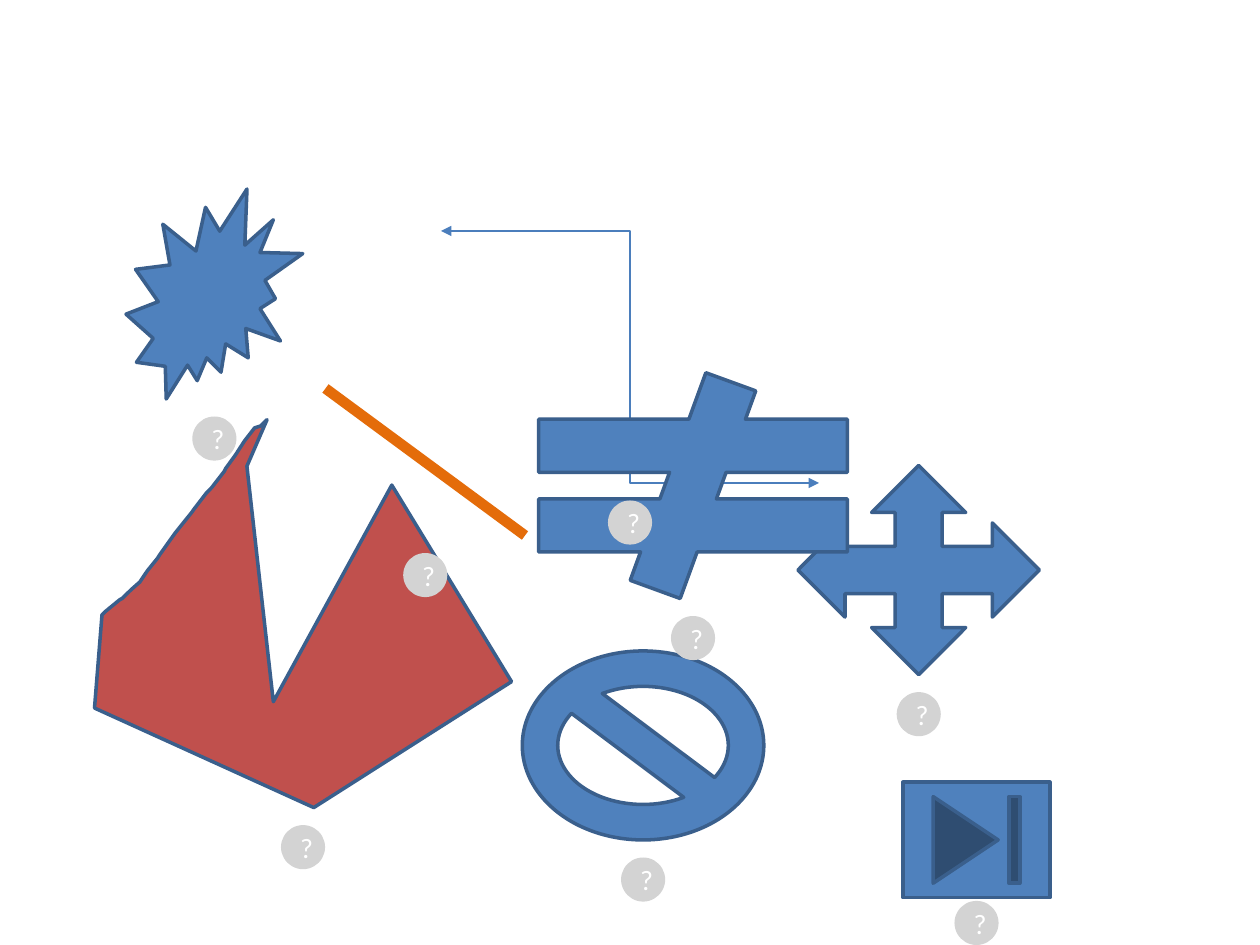
"""Build a slide of assorted shapes, each with a question badge below it."""
from dataclasses import dataclass

from lxml import etree
from pptx import Presentation
from pptx import util as u
from pptx.dml.color import RGBColor
from pptx.enum import shapes, text
from pptx.oxml import ns

COLORS = {
    "blue": "4F81BD", "outline": "3A5F8C", "red": "C0504D", "orange": "E46C0A",
    "arrow": "4B7EBC", "badge": "D3D3D3", "white": "FFFFFF",
}
SLIDE_WIDTH, SLIDE_HEIGHT = 720, 540
BADGE_SIZE = 25.2
BADGE_GAP = 10


@dataclass
class Line:
    kind: shapes.MSO_CONNECTOR
    start: tuple[float, float]
    end: tuple[float, float]
    color: str
    width: float
    arrows: bool = False


@dataclass
class Preset:
    kind: shapes.MSO_SHAPE
    left: float
    top: float
    width: float
    height: float


LINES = [
    Line(shapes.MSO_CONNECTOR.STRAIGHT, (186, 222), (300, 306), "orange", 6),
    Line(shapes.MSO_CONNECTOR.ELBOW, (252, 132), (468, 276), "arrow", 0.75, True),
]
PRESETS = [
    Preset(shapes.MSO_SHAPE.NO_SYMBOL, 298.5, 372, 138, 108),
    Preset(shapes.MSO_SHAPE.QUAD_ARROW, 456, 266, 138, 119.5),
    Preset(shapes.MSO_SHAPE.MATH_NOT_EQUAL, 276, 213, 240, 129),
    Preset(shapes.MSO_SHAPE.EXPLOSION2, 72, 108, 101, 120),
    Preset(shapes.MSO_SHAPE.ACTION_BUTTON_END, 516, 447, 84, 66),
]
JAGGED_OUTLINE = [
    (152.6, 239.8), (149, 243.4), (145.5, 244.5), (139.7, 252), (134.6, 259.9),
    (128.9, 267.8), (128.2, 269.3), (121, 278.6), (118.1, 281.5), (110.9, 290.9),
    (109.4, 293), (100.1, 304.6), (91.4, 316.8), (90, 319), (84.2, 326.2),
    (79.9, 332.6), (74.9, 337), (69.8, 342), (68.4, 342.7), (60.5, 349.2),
    (58.3, 351.4), (54, 404.6), (179.3, 461.5), (292.3, 389.5), (223.9, 277.2),
    (156.2, 401), (141.1, 266.4),
]


def rgb(name: str) -> RGBColor:
    return RGBColor.from_string(COLORS[name])


def paint(shape, fill: str, outline: str | None = "outline") -> None:
    shape.shadow.inherit = False
    shape.fill.solid()
    shape.fill.fore_color.rgb = rgb(fill)
    if outline is None:
        shape.line.fill.background()
    else:
        shape.line.color.rgb = rgb(outline)
        shape.line.width = u.Pt(2)


def draw_line(slide, line: Line):
    ends = [u.Pt(value) for value in (*line.start, *line.end)]
    connector = slide.shapes.add_connector(line.kind, *ends)
    connector.line.color.rgb = rgb(line.color)
    connector.line.width = u.Pt(line.width)
    if line.arrows:
        outline = connector.line._get_or_add_ln()
        for tag in ("a:headEnd", "a:tailEnd"):
            etree.SubElement(outline, ns.qn(tag), type="triangle")
    etree.SubElement(connector._element.spPr, ns.qn("a:effectLst"))
    return connector


def draw_jagged(slide):
    points = [(u.Pt(x), u.Pt(y)) for x, y in JAGGED_OUTLINE]
    builder = slide.shapes.build_freeform(*points[0])
    builder.add_line_segments(points[1:], close=True)
    shape = builder.convert_to_shape()
    paint(shape, "red")
    return shape


def draw_preset(slide, preset: Preset):
    box = (preset.left, preset.top, preset.width, preset.height)
    shape = slide.shapes.add_shape(preset.kind, *(u.Pt(value) for value in box))
    paint(shape, "blue")
    return shape


def draw_badge(slide, target) -> None:
    size = u.Pt(BADGE_SIZE)
    left = target.left + (target.width - size) // 2
    lowest_top = u.Pt(SLIDE_HEIGHT) - size
    top = min(target.top + target.height + u.Pt(BADGE_GAP), lowest_top)
    badge = slide.shapes.add_shape(shapes.MSO_SHAPE.OVAL, left, top, size, size)
    paint(badge, "badge", None)
    frame = badge.text_frame
    frame.margin_left, frame.margin_right = u.Pt(4), u.Pt(0)
    frame.vertical_anchor = text.MSO_ANCHOR.MIDDLE
    paragraph = frame.paragraphs[0]
    paragraph.text = "?"
    paragraph.alignment = text.PP_ALIGN.CENTER
    paragraph.font.name = "Calibri"
    paragraph.font.size = u.Pt(16)
    paragraph.font.color.rgb = rgb("white")


def main() -> None:
    presentation = Presentation()
    presentation.slide_width = u.Pt(SLIDE_WIDTH)
    presentation.slide_height = u.Pt(SLIDE_HEIGHT)
    slide = presentation.slides.add_slide(presentation.slide_layouts[6])
    targets = [draw_line(slide, line) for line in LINES]
    targets.append(draw_jagged(slide))
    targets += [draw_preset(slide, preset) for preset in PRESETS]
    for target in targets:
        draw_badge(slide, target)
    presentation.save("out.pptx")


main()
